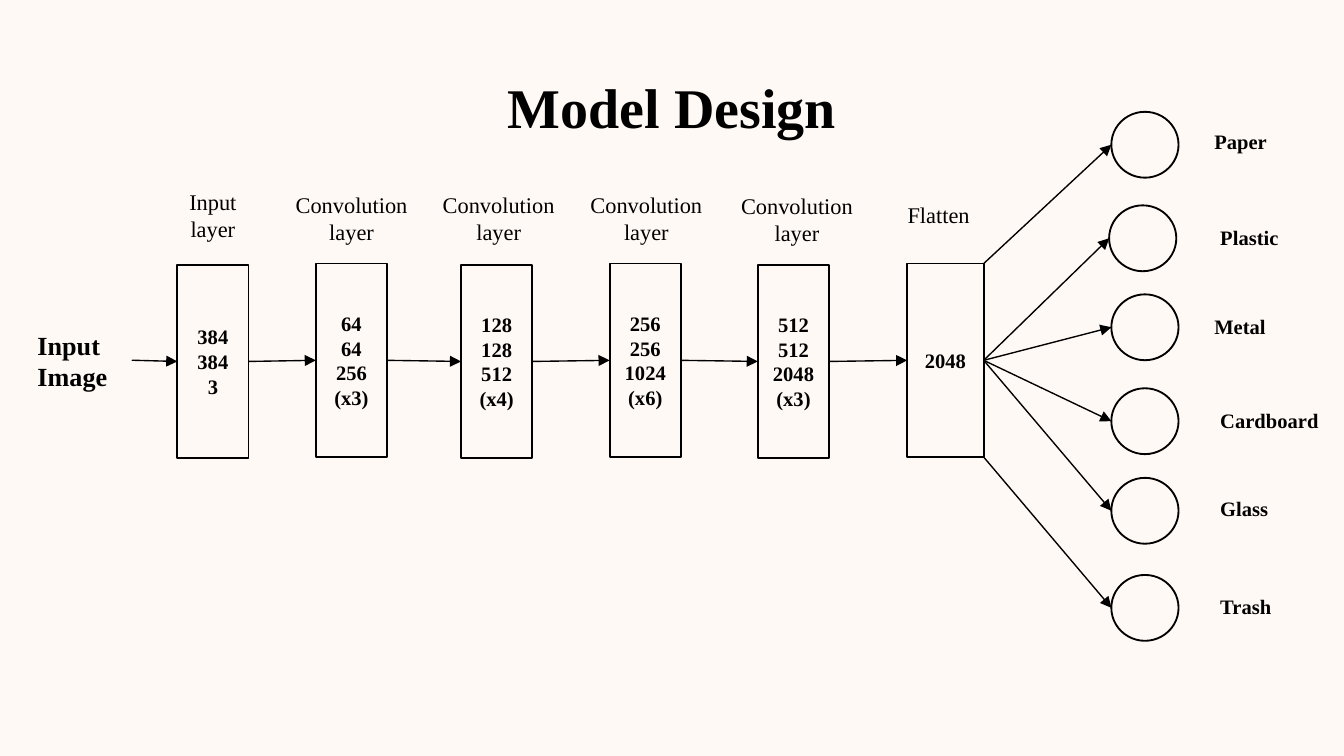
import pptx
import pptx.dml.color
import pptx.enum.shapes
import pptx.enum.text
import pptx.oxml.ns
import pptx.util
from lxml import etree

Pt = pptx.util.Pt
Shape = pptx.enum.shapes.MSO_SHAPE
Align = pptx.enum.text.PP_ALIGN
Anchor = pptx.enum.text.MSO_ANCHOR
AutoSize = pptx.enum.text.MSO_AUTO_SIZE

COLOURS = {"paper": "FFF9F5", "ink": "000000"}
FONT = "Times New Roman"


def colour(name):
    return pptx.dml.color.RGBColor.from_string(COLOURS[name])


class Diagram:
    """Holds the style and the current slide."""

    def __init__(self, slide):
        self.slide = slide
        fill = slide.background.fill
        fill.solid()
        fill.fore_color.rgb = colour("paper")

    def set_text(self, frame, text, size, bold, align):
        frame.text = text
        frame.word_wrap = True
        for paragraph in frame.paragraphs:
            paragraph.alignment = align
            paragraph.font.name = FONT
            paragraph.font.size = Pt(size)
            paragraph.font.bold = bold
            paragraph.font.color.rgb = colour("ink")

    def title(self, text, left, top, width, height):
        title = self.slide.shapes.title
        title.left, title.top = Pt(left), Pt(top)
        title.width, title.height = Pt(width), Pt(height)
        frame = title.text_frame
        self.set_text(frame, text, 30, True, Align.CENTER)
        frame.auto_size = AutoSize.NONE
        frame.vertical_anchor = Anchor.BOTTOM
        frame.margin_left = frame.margin_right = Pt(7.2)
        frame.margin_top = frame.margin_bottom = Pt(7.2)

    def label(self, text, left, top, width, height, size=11, bold=True, align=Align.LEFT):
        box = self.slide.shapes.add_textbox(Pt(left), Pt(top), Pt(width), Pt(height))
        self.set_text(box.text_frame, text, size, bold, align)
        box.text_frame.auto_size = AutoSize.SHAPE_TO_FIT_TEXT

    def node(self, kind, left, top, width, height, text=""):
        shape = self.slide.shapes.add_shape(kind, Pt(left), Pt(top), Pt(width), Pt(height))
        shape.shadow.inherit = False
        shape.fill.solid()
        shape.fill.fore_color.rgb = colour("paper")
        shape.line.color.rgb = colour("ink")
        shape.line.width = Pt(1)
        if text:
            self.set_text(shape.text_frame, text, 11, True, Align.CENTER)
            shape.text_frame.vertical_anchor = Anchor.MIDDLE
        return shape

    def arrow(self, start, end, source=None, target=None):
        """Points from start to end; source and target are rectangles to join."""
        connector = self.slide.shapes.add_connector(
            pptx.enum.shapes.MSO_CONNECTOR.STRAIGHT, *(Pt(value) for value in (*start, *end)))
        if source is not None:
            connector.begin_connect(source, 3)
        if target is not None:
            connector.end_connect(target, 1)
        connector.line.color.rgb = colour("ink")
        connector.line.width = Pt(0.75)
        qn = pptx.oxml.ns.qn
        properties = connector.element.spPr
        etree.SubElement(properties.find(qn("a:ln")), qn("a:tailEnd"), type="triangle")
        etree.SubElement(properties, qn("a:effectLst"))


presentation = pptx.Presentation()
presentation.slide_width, presentation.slide_height = Pt(720), Pt(405)
diagram = Diagram(presentation.slides.add_slide(presentation.slide_layouts[5]))
diagram.title("Model Design", 53.3, 31, 613.4, 51.1)

# Layers: box left, top, width, values; label text, left, top, width, height
LAYER_HEIGHT = 103.7
CONVOLUTION = "Convolution\vlayer"
LAYERS = [
    (95, 141.8, 38.2, "384\n384\n3", "Input\vlayer", 90, 97.2, 48.2, 36),
    (169.2, 141.2, 38.2, "64\n64\n256\n(x3)", CONVOLUTION, 148.8, 98.8, 79.2, 36),
    (247, 141.8, 38.2, "128\n128\n512\n(x4)", CONVOLUTION, 227.6, 98.8, 79.2, 36),
    (326.6, 141.2, 38.2, "256\n256\n1024\n(x6)", CONVOLUTION, 306.7, 98.8, 79.2, 36),
    (406, 141.8, 38.2, "512\n512\n2048\n(x3)", CONVOLUTION, 387.4, 99.6, 79.2, 36),
    (486, 141.2, 41, "2048", "Flatten", 478.8, 104.4, 48.2, 21.6),
]
boxes = []
for left, top, width, values, name, *label_place in LAYERS:
    boxes.append(diagram.node(Shape.RECTANGLE, left, top, width, LAYER_HEIGHT, values))
    diagram.label(name, *label_place, size=12, bold=False, align=Align.CENTER)

# Input and the chain of layers
diagram.label("Input\nImage", 13, 172.8, 57.6, 41, size=14)
diagram.arrow((70.6, 193), (95, 193.6), target=boxes[0])
for source, target in zip(boxes, boxes[1:]):
    diagram.arrow((0, 0), (0, 0), source, target)

# Output classes: name, circle left, circle top, label left, label top, label width
CIRCLE_WIDTH, CIRCLE_HEIGHT = 36, 35.3
CLASSES = [
    ("Paper", 595.4, 59.9, 643.4, 65.5, 51),
    ("Plastic", 594.2, 110, 646.6, 117.2, 51),
    ("Metal", 595.4, 157.7, 643.4, 164.8, 51),
    ("Cardboard", 595.4, 208, 646.6, 214.9, 73.4),
    ("Glass", 595.4, 256, 646.6, 262.3, 51),
    ("Trash", 595.4, 308, 646.6, 314.6, 51),
]
flatten = boxes[-1]
right, flatten_top = 486 + 41, 141.2
corners = {"Paper": flatten_top, "Trash": flatten_top + LAYER_HEIGHT}
for name, left, top, label_left, label_top, label_width in CLASSES:
    diagram.node(Shape.OVAL, left, top, CIRCLE_WIDTH, CIRCLE_HEIGHT)
    diagram.label(name, label_left, label_top, label_width, 20.9)
    end = (left, top + CIRCLE_HEIGHT / 2)
    if name in corners:
        diagram.arrow((right, corners[name]), end)
    else:
        diagram.arrow((right, flatten_top + LAYER_HEIGHT / 2), end, source=flatten)

presentation.save("out.pptx")
